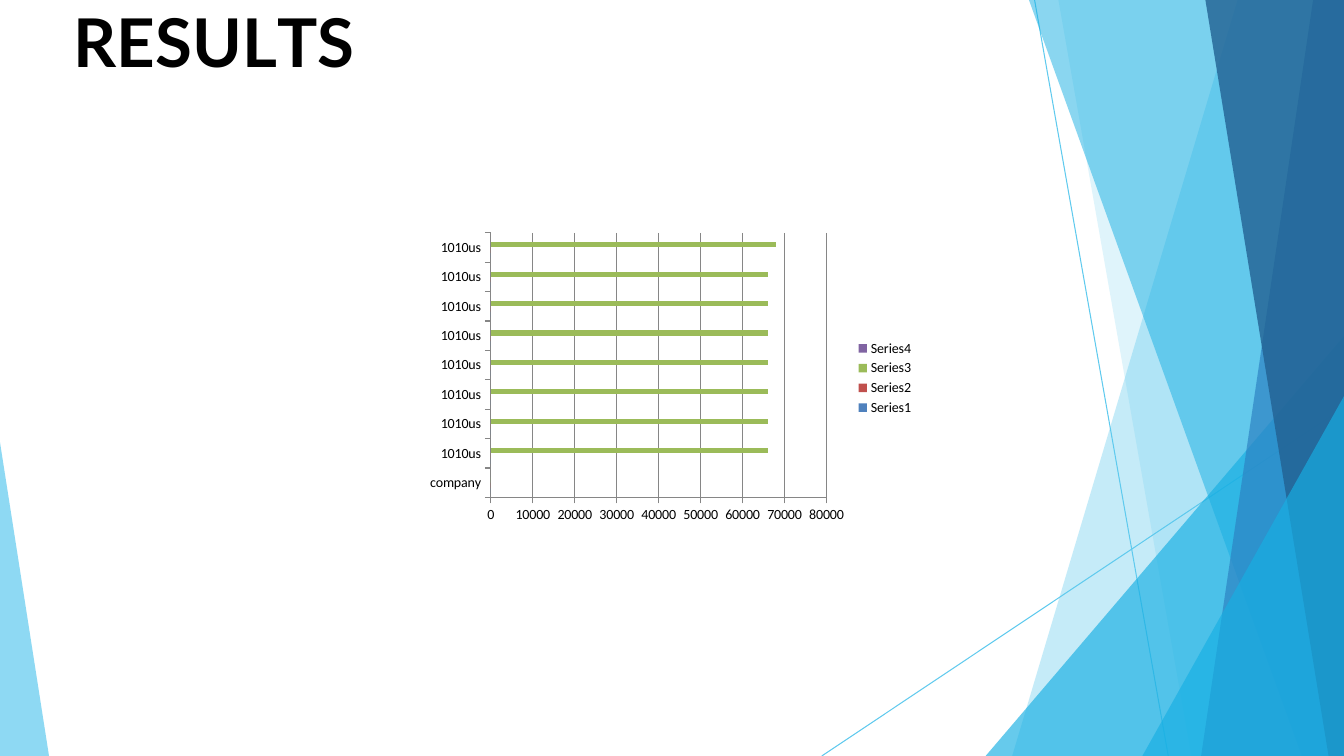
from lxml import etree
from pptx import Presentation
from pptx.chart.data import CategoryChartData
from pptx.dml.color import RGBColor
from pptx.enum import chart as charts, text
from pptx.oxml import ns
from pptx.util import Pt

COLORS = {
    "sky": "5FCAEE", "cyan": "17AFE3", "blue": "2D83C3", "navy": "226192",
    "black": "000000", "grid": "868686",
    "Series1": "4F81BD", "Series2": "C0504D", "Series3": "9BBB59", "Series4": "8064A2",
}
WIDTH, HEIGHT = 960, 540
LINES = [((739, 0), (834.5, 540)), ((960, 291), (587, 540))]
FACETS = [
    ("sky", 36, [(960, 0), (884, 0), (723, 540), (960, 540)]),
    ("sky", 20, [(960, 0), (756, 0), (851, 540), (960, 540)]),
    ("cyan", 66, [(960, 240), (703.5, 540), (960, 540)]),
    ("cyan", 50, [(960, 0), (735, 0), (929.5, 540), (960, 540)]),
    ("blue", 70, [(960, 0), (938, 0), (858, 540), (960, 540)]),
    ("navy", 80, [(960, 0), (861, 0), (949, 540), (960, 540)]),
    ("cyan", 66, [(960, 283), (816.5, 540), (960, 540)]),
    ("sky", 70, [(0, 316), (0, 540), (35, 540)]),
]
TITLE_SPANS = [("R", 0), ("E", -0.4), ("S", 0.1), ("U", -0.3), ("L", -4), ("TS", 0)]
CATEGORIES = ["company"] + ["1010us"] * 8
SERIES = {
    "Series1": [0] * 9,
    "Series2": [0] * 9,
    "Series3": [0] + [66000] * 7 + [68000],
    "Series4": [None] * 9,
}


def color(name):
    return RGBColor.from_string(COLORS[name])


def add_backdrop(page, left, top):
    for start, end in LINES:
        ends = [Pt(offset + value) for point in (start, end)
                for offset, value in zip((left, top), point)]
        line = page.shapes.add_connector(1, *ends)
        line.line.color.rgb = color("sky")
        line.line.width = Pt(0.75)
        etree.SubElement(line._element.spPr, ns.qn("a:effectLst"))
    for name, opacity, points in FACETS:
        corners = [(left + x, top + y) for x, y in points]
        builder = page.shapes.build_freeform(*corners[0], scale=Pt(1))
        builder.add_line_segments(corners[1:], close=True)
        facet = builder.convert_to_shape()
        facet.shadow.inherit = False
        facet.line.fill.background()
        facet.fill.solid()
        facet.fill.fore_color.rgb = color(name)
        tint = facet._element.spPr.find(".//" + ns.qn("a:srgbClr"))
        etree.SubElement(tint, ns.qn("a:alpha"), val=str(opacity * 1000))


def add_title(page, left, top, width, height):
    title = page.shapes.title
    title.left, title.top, title.width, title.height = map(Pt, (left, top, width, height))
    frame = title.text_frame
    frame.margin_left = frame.margin_top = frame.margin_right = frame.margin_bottom = 0
    frame.vertical_anchor = text.MSO_ANCHOR.TOP
    frame.auto_size = text.MSO_AUTO_SIZE.SHAPE_TO_FIT_TEXT
    para = frame.paragraphs[0]
    para.alignment = text.PP_ALIGN.LEFT
    for letters, spacing in TITLE_SPANS:
        span = para.add_run()
        span.text = letters
        span.font.name = "Lato"
        span.font.size = Pt(48)
        span.font.bold = True
        span.font.color.rgb = color("black")
        span._r.get_or_add_rPr().set("spc", str(round(spacing * 100)))


def add_results_chart(page, left, top, width, height):
    data = CategoryChartData()
    data.categories = CATEGORIES
    for name, values in SERIES.items():
        data.add_series(name, values)
    chart = page.shapes.add_chart(
        charts.XL_CHART_TYPE.BAR_CLUSTERED, *map(Pt, (left, top, width, height)), data).chart
    chart.font.name = "Calibri"
    chart.font.size = Pt(10)
    chart.font.color.rgb = color("black")
    chart.has_title = False
    chart.has_legend = True
    chart.legend.position = charts.XL_LEGEND_POSITION.RIGHT
    chart.legend.include_in_layout = False
    plot = chart.plots[0]
    plot.gap_width = 150
    plot.vary_by_categories = False
    for series in plot.series:
        series.format.fill.solid()
        series.format.fill.fore_color.rgb = color(series.name)
        series.invert_if_negative = False
    for axis in (chart.category_axis, chart.value_axis):
        axis.major_tick_mark = charts.XL_TICK_MARK.OUTSIDE
        axis.minor_tick_mark = charts.XL_TICK_MARK.NONE
        axis.format.line.color.rgb = color("grid")
        axis.format.line.width = Pt(0.75)
    scale = chart.value_axis
    scale.minimum_scale, scale.maximum_scale, scale.major_unit = 0, 80000, 10000
    scale.has_major_gridlines = True
    scale.major_gridlines.format.line.color.rgb = color("grid")
    scale.major_gridlines.format.line.width = Pt(0.75)


def main():
    deck = Presentation()
    deck.slide_width, deck.slide_height = Pt(WIDTH), Pt(HEIGHT)
    page = deck.slides.add_slide(deck.slide_layouts.get_by_name("Title Only"))
    add_backdrop(page, 0, 0)
    add_title(page, 52.5, 0, 841, 60)
    add_results_chart(page, 300, 162, 360, 216)
    deck.save("out.pptx")


if __name__ == "__main__":
    main()
